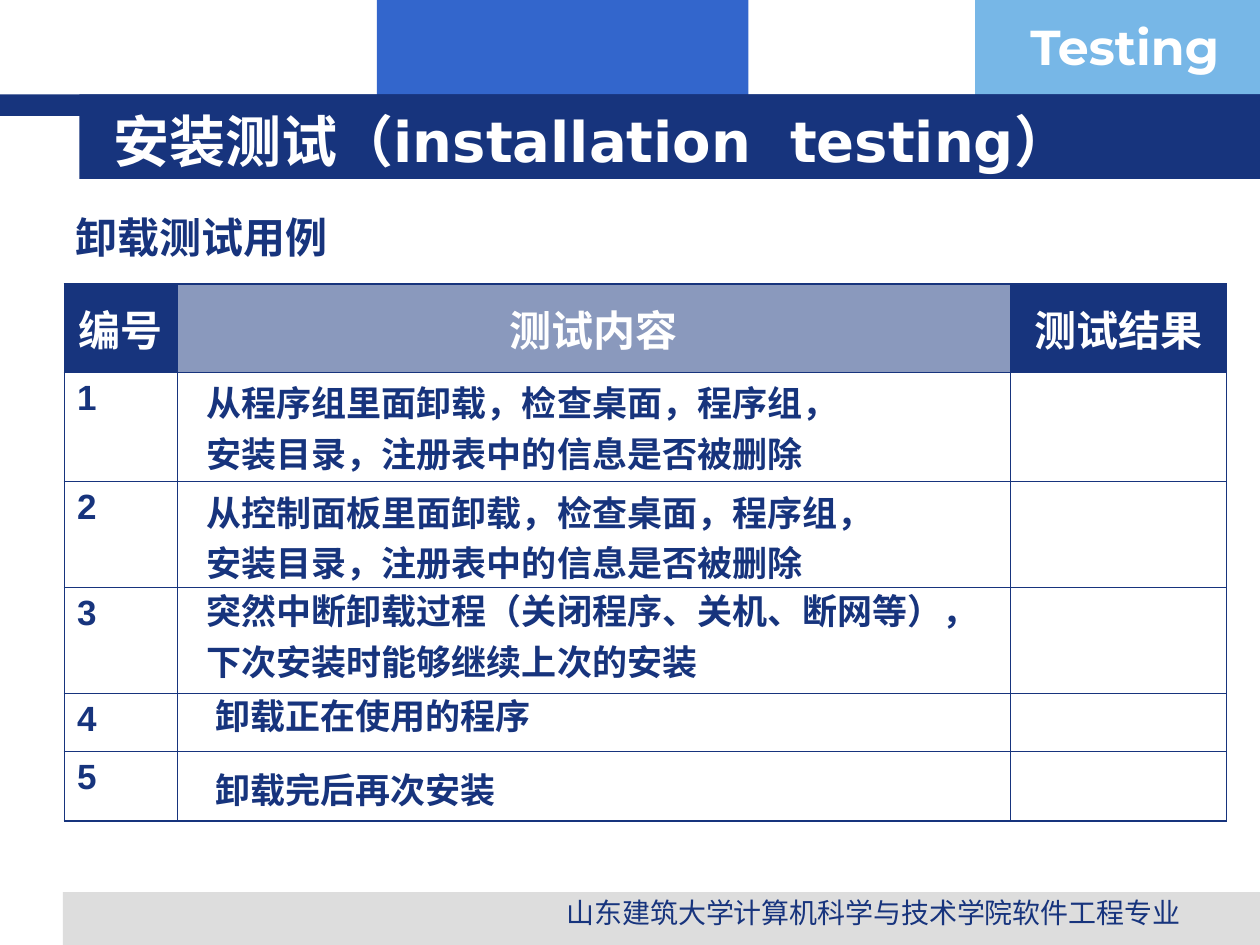
from lxml import etree
from pptx import Presentation
from pptx import util as u
from pptx.dml.color import RGBColor
from pptx.enum import shapes, text
from pptx.oxml.ns import qn

Pt = u.Pt
COLORS = {"navy": "17347D", "blue": "3366CC", "sky": "77B7E7", "grey": "DDDDDD", "white": "FFFFFF"}
LEFT, CENTER = text.PP_ALIGN.LEFT, text.PP_ALIGN.CENTER
TOP, MIDDLE = text.MSO_ANCHOR.TOP, text.MSO_ANCHOR.MIDDLE

BANDS = [
    ("blue", 215.28, 0, 212.4, 66.24),
    ("sky", 557.28, 0, 162.72, 66.24),
    ("grey", 36, 509.76, 684, 30.24),
    ("navy", 0, 54, 720, 12.24),
    ("navy", 45.36, 54, 674.64, 48.24),
]
TITLE = "安装测试（installation  testing）"
LABELS = [
    ("Testing", (581.76, 5.76, 138.96, 41.04),
     dict(size=28, font="Montserrat", color="white", bold=True), {}),
    ("山东建筑大学计算机科学与技术学院软件工程专业", (292.32, 508.32, 414, 22.32),
     dict(size=16), dict(alignment=CENTER)),
    ("卸载测试用例", (36, 111.6, 653.04, 44.64),
     dict(size=24, bold=True), dict(line_spacing=1.2)),
]
HEADERS = ["编号", "测试内容", "测试结果"]
CASES = [
    (["从程序组里面卸载，检查桌面，程序组，", "安装目录，注册表中的信息是否被删除"],
     (110.88, 218.88, 447.84, 51.12)),
    (["从控制面板里面卸载，检查桌面，程序组，", "安装目录，注册表中的信息是否被删除"],
     (110.88, 281.52, 447.84, 51.12)),
    (["突然中断卸载过程（关闭程序、关机、断网等），", "下次安装时能够继续上次的安装"],
     (110.88, 337.68, 447.84, 51.12)),
    (["卸载正在使用的程序"], (115.92, 383.04, 311.76, 51.12)),
    (["卸载完后再次安装"], (115.92, 434.16, 311.76, 33.84)),
]
TABLE_AT = (36.9, 162.3)
COL_WIDTHS = [64.4, 476, 123.6]
ROW_HEIGHTS = [50.6, 62.2, 60.6, 60.6, 33.2, 39.8]
OUTER, INNER = 1.08, 0.45


def rgb(name):
    return RGBColor.from_string(COLORS[name])


def apply(target, values):
    for name, value in values.items():
        setattr(target, name, value)


def write(tf, lines, size, font="Arial", color="navy", bold=False, **fmt):
    for i, line in enumerate(lines):
        p = tf.add_paragraph() if i else tf.paragraphs[0]
        apply(p, dict(alignment=LEFT, space_before=Pt(5 if i else 0)) | fmt)
        r = p.add_run()
        r.text = line
        apply(r.font, dict(size=Pt(size), name=font, bold=bold))
        r.font.color.rgb = rgb(color)


def add_box(s, lines, at, style, fmt, wrap=True, anchor=TOP):
    tf = s.shapes.add_textbox(*map(Pt, at)).text_frame
    apply(tf, dict(word_wrap=wrap, vertical_anchor=anchor))
    write(tf, lines, **style, **fmt)


def set_borders(cell, widths):
    tcPr = cell._tc.get_or_add_tcPr()
    for i, (side, width) in enumerate(zip("LRTB", widths)):
        ln = etree.Element(qn(f"a:ln{side}"), w=str(int(Pt(width))))
        fill = etree.SubElement(ln, qn("a:solidFill"))
        etree.SubElement(fill, qn("a:srgbClr"), val=COLORS["navy"])
        tcPr.insert(i, ln)


def add_table(s):
    rows, cols = len(ROW_HEIGHTS), len(COL_WIDTHS)
    size = (sum(COL_WIDTHS), sum(ROW_HEIGHTS))
    table = s.shapes.add_table(rows, cols, *map(Pt, TABLE_AT + size)).table
    apply(table, dict(first_row=False, horz_banding=False))
    for column, width in zip(table.columns, COL_WIDTHS):
        column.width = Pt(width)
    for row, height in zip(table.rows, ROW_HEIGHTS):
        row.height = Pt(height)
    for i in range(rows):
        for j in range(cols):
            cell = table.cell(i, j)
            if i == 0:
                cell.fill.solid()
                cell.fill.fore_color.rgb = rgb("navy")
                cell.vertical_anchor = MIDDLE
                write(cell.text_frame, [HEADERS[j]], 24, color="white", bold=True, alignment=CENTER)
            else:
                cell.fill.background()
                if j == 0:
                    write(cell.text_frame, [str(i)], 20, bold=True)
            edges = (j == 0, j == cols - 1, i == 0, i == rows - 1)
            set_borders(cell, [OUTER if edge else INNER for edge in edges])
    tint = table.cell(0, 1)._tc.tcPr.find(qn("a:solidFill")).find(qn("a:srgbClr"))
    etree.SubElement(tint, qn("a:alpha"), val="50000")


def main():
    prs = Presentation()
    apply(prs, dict(slide_width=Pt(720), slide_height=Pt(540)))
    s = prs.slides.add_slide(prs.slide_layouts[5])

    for color, *at in BANDS:
        sp = s.shapes.add_shape(shapes.MSO_SHAPE.RECTANGLE, *map(Pt, at))
        sp.shadow.inherit = False
        sp.fill.solid()
        sp.fill.fore_color.rgb = rgb(color)
        sp.line.fill.background()

    title = s.shapes.title
    title.element.getparent().append(title.element)
    apply(title, dict(left=Pt(57.6), top=Pt(57.6), width=Pt(614.16), height=Pt(44.64)))
    apply(title.text_frame, dict(vertical_anchor=MIDDLE, word_wrap=True, auto_size=text.MSO_AUTO_SIZE.NONE))
    write(title.text_frame, [TITLE], 32, font="DejaVu Sans", color="white", bold=True)

    for label, at, style, fmt in LABELS:
        add_box(s, [label], at, style, fmt)
    add_table(s)
    for lines, at in CASES:
        add_box(s, lines, at, dict(size=20, bold=True), {}, wrap=False, anchor=MIDDLE)

    prs.save("out.pptx")


if __name__ == "__main__":
    main()
